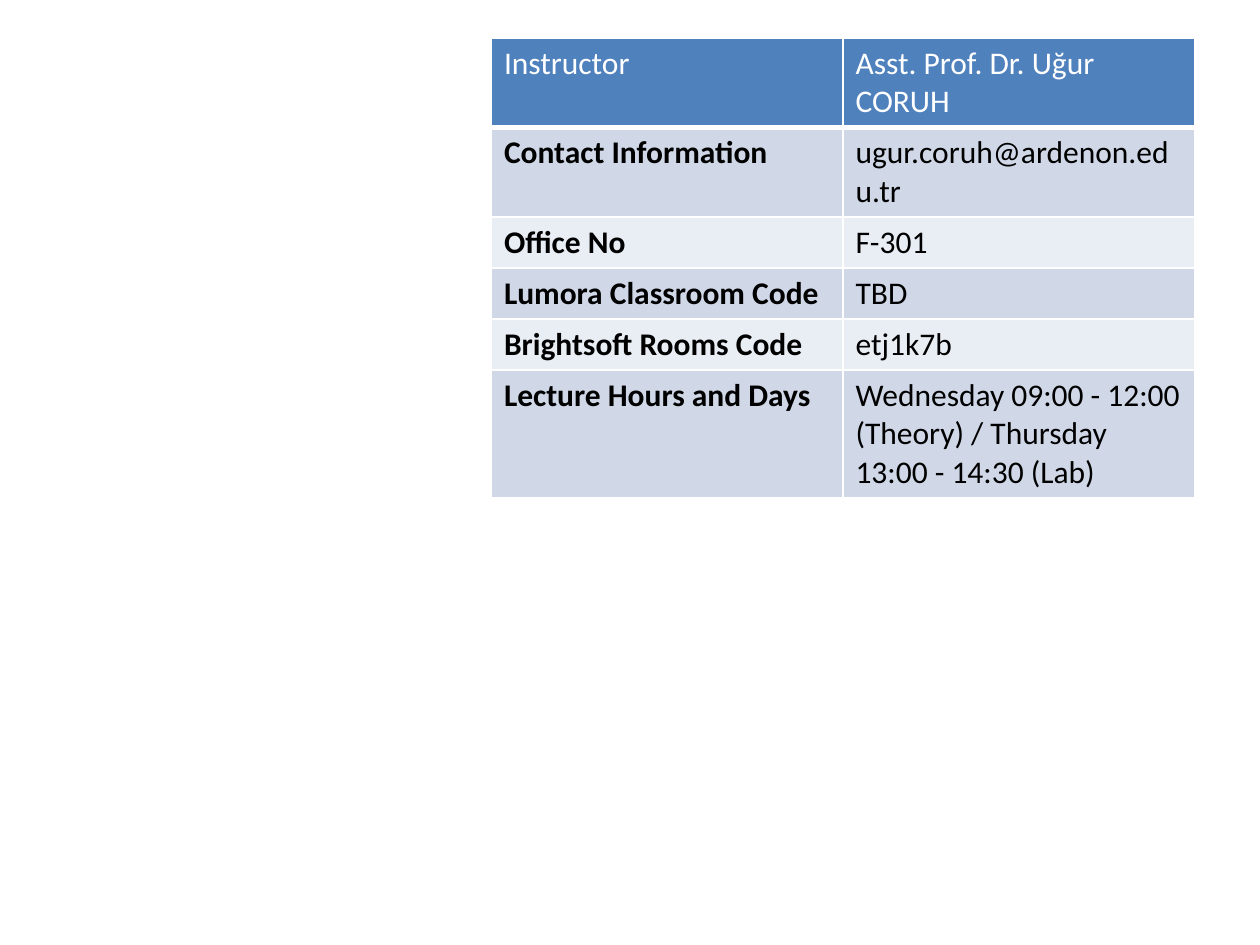
from dataclasses import dataclass

from lxml import etree
from pptx import Presentation
from pptx.dml.color import RGBColor
from pptx.oxml.ns import qn
from pptx.util import Pt

BLANK_LAYOUT = 6
SIDES = ("L", "R", "T", "B")


@dataclass(frozen=True)
class Theme:
    font: str = "Calibri"
    size: float = 18
    header_fill: str = "4F81BD"
    header_text: str = "FFFFFF"
    body_text: str = "000000"
    bands: tuple = ("D0D8E8", "E9EDF4")
    border: str = "FFFFFF"
    border_width: float = 1
    header_rule: float = 3
    line_height: float = 21.8
    cell_padding: float = 7.2


@dataclass(frozen=True)
class Box:
    left: float
    top: float
    width: float


THEME = Theme()

COURSE_DETAILS = (
    ("Instructor", "Asst. Prof. Dr. Uğur CORUH", 2),
    ("Contact Information", "ugur.coruh@ardenon.edu.tr", 2),
    ("Office No", "F-301", 1),
    ("Lumora Classroom Code", "TBD", 1),
    ("Brightsoft Rooms Code", "etj1k7b", 1),
    ("Lecture Hours and Days",
     "Wednesday 09:00 - 12:00 (Theory) / Thursday 13:00 - 14:30 (Lab)", 3),
)


def write_text(frame, text, *, color, bold=False):
    span = frame.paragraphs[0].add_run()
    span.text = text
    span.font.name = THEME.font
    span.font.size = Pt(THEME.size)
    span.font.bold = bold
    span.font.color.rgb = RGBColor.from_string(color)


def set_borders(cell, bottom_width):
    properties = cell._tc.get_or_add_tcPr()
    for position, side in enumerate(SIDES):
        width = bottom_width if side == "B" else THEME.border_width
        line = etree.Element(qn(f"a:ln{side}"), w=str(Pt(width)))
        fill = etree.SubElement(line, qn("a:solidFill"))
        etree.SubElement(fill, qn("a:srgbClr"), val=THEME.border)
        properties.insert(position, line)


def fill_cell(cell, text, *, fill, color, bold, bottom_width):
    cell.fill.solid()
    cell.fill.fore_color.rgb = RGBColor.from_string(fill)
    set_borders(cell, bottom_width)
    write_text(cell.text_frame, text, color=color, bold=bold)


def add_details_table(page, box, details):
    heights = [THEME.cell_padding + lines * THEME.line_height
               for _, _, lines in details]
    table = page.shapes.add_table(
        len(details), 2, Pt(box.left), Pt(box.top),
        Pt(box.width), Pt(sum(heights))).table
    for column in table.columns:
        column.width = Pt(box.width / 2)
    for index, (label, value, _) in enumerate(details):
        table.rows[index].height = Pt(heights[index])
        header = index == 0
        fill = THEME.header_fill if header else THEME.bands[(index - 1) % 2]
        color = THEME.header_text if header else THEME.body_text
        rule = THEME.header_rule if header else THEME.border_width
        for column, text in enumerate((label, value)):
            fill_cell(table.cell(index, column), text, fill=fill, color=color,
                      bold=column == 0 and not header, bottom_width=rule)


def main():
    deck = Presentation()
    deck.slide_width, deck.slide_height = Pt(720), Pt(540)
    page = deck.slides.add_slide(deck.slide_layouts[BLANK_LAYOUT])
    add_details_table(page, Box(280.8, 21.6, 401.8), COURSE_DETAILS)
    deck.save("out.pptx")


if __name__ == "__main__":
    main()
